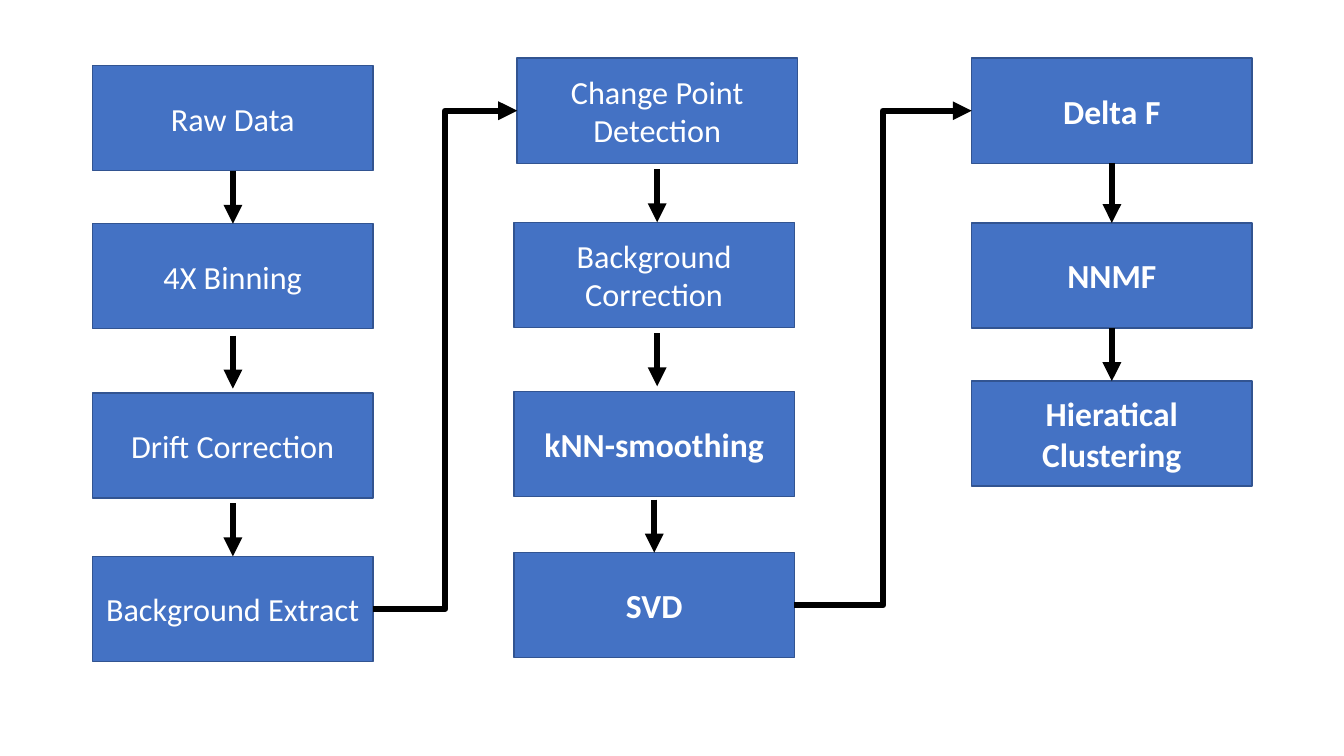
from pptx import Presentation
from pptx.dml.color import RGBColor
from pptx.enum.shapes import MSO_CONNECTOR, MSO_SHAPE
from pptx.enum.text import MSO_ANCHOR, PP_ALIGN
from pptx.oxml.ns import qn
from pptx.util import Inches, Pt
from lxml import etree

RECTANGLE = MSO_SHAPE.RECTANGLE
STRAIGHT, ELBOW = MSO_CONNECTOR.STRAIGHT, MSO_CONNECTOR.ELBOW
MIDDLE, CENTER = MSO_ANCHOR.MIDDLE, PP_ALIGN.CENTER

BLUE = RGBColor(0x44, 0x72, 0xC4)
DARK_BLUE = RGBColor(0x32, 0x54, 0x91)
WHITE = RGBColor(0xFF, 0xFF, 0xFF)
BLACK = RGBColor(0x00, 0x00, 0x00)

SLIDE_WIDTH, SLIDE_HEIGHT = Inches(13.33), Inches(7.5)
GRID = 100
STEP_WIDTH, STEP_HEIGHT = 20.85, 13.9
LEFT_SITE, RIGHT_SITE = 1, 3

# label, left, top, bold
STAGES = [
    [("Raw Data", 6.9, 8.7, False),
     ("4X Binning", 6.9, 29.6, False),
     ("Drift Correction", 6.9, 52, False),
     ("Background Extract", 6.9, 73.6, False)],
    [("Change Point Detection", 38.48, 7.7, False),
     ("Background\nCorrection", 38.25, 29.4, False),
     ("kNN-smoothing", 38.25, 51.8, True),
     ("SVD", 38.25, 73.1, True)],
    [("Delta F", 72.3, 7.7, True),
     ("NNMF", 72.3, 29.5, True),
     ("Hieratical Clustering", 72.3, 50.4, True)],
]

# centre, start, end
DOWN_ARROWS = [
    (17.33, 22.6, 29.6), (17.33, 44.4, 51.4), (17.33, 66.6, 73.6),
    (48.9, 22.4, 29.4), (48.9, 44.1, 51.1), (48.68, 66.1, 73.1),
    (82.73, 21.6, 29.5), (82.73, 43.4, 50.4),
]


def across(columns):
    return round(SLIDE_WIDTH * columns / GRID)


def down(rows):
    return round(SLIDE_HEIGHT * rows / GRID)


def add_step(slide, label, left, top, bold):
    step = slide.shapes.add_shape(RECTANGLE, across(left), down(top),
                                  across(STEP_WIDTH), down(STEP_HEIGHT))
    step.shadow.inherit = False
    step.fill.solid()
    step.fill.fore_color.rgb = BLUE
    step.line.color.rgb = DARK_BLUE
    step.line.width = Pt(1)
    frame = step.text_frame
    frame.word_wrap = True
    frame.vertical_anchor = MIDDLE
    frame.text = label
    for paragraph in frame.paragraphs:
        paragraph.alignment = CENTER
        paragraph.font.name = "Calibri"
        paragraph.font.size = Pt(24 if bold else 23)
        paragraph.font.bold = bold
        paragraph.font.color.rgb = WHITE
    return step


def add_arrow(slide, kind, start, end):
    arrow = slide.shapes.add_connector(kind, *start, *end)
    arrow.line.color.rgb = BLACK
    arrow.line.width = Pt(4.5)
    properties = arrow.element.spPr
    etree.SubElement(properties.find(qn("a:ln")), qn("a:tailEnd"), type="triangle")
    etree.SubElement(properties, qn("a:effectLst"))
    return arrow


def link_stages(slide, last_step, first_step):
    start = (last_step.left + last_step.width, last_step.top + last_step.height // 2)
    end = (first_step.left, first_step.top + first_step.height // 2)
    link = add_arrow(slide, ELBOW, start, end)
    link.begin_connect(last_step, RIGHT_SITE)
    link.end_connect(first_step, LEFT_SITE)


def main():
    deck = Presentation()
    deck.slide_width, deck.slide_height = SLIDE_WIDTH, SLIDE_HEIGHT
    slide = deck.slides.add_slide(deck.slide_layouts[6])
    stages = [[add_step(slide, *step) for step in stage] for stage in STAGES]
    for centre, start, end in DOWN_ARROWS:
        add_arrow(slide, STRAIGHT, (across(centre), down(start)),
                  (across(centre), down(end)))
    for stage, following in zip(stages, stages[1:]):
        link_stages(slide, stage[-1], following[0])
    deck.save("out.pptx")


if __name__ == "__main__":
    main()
